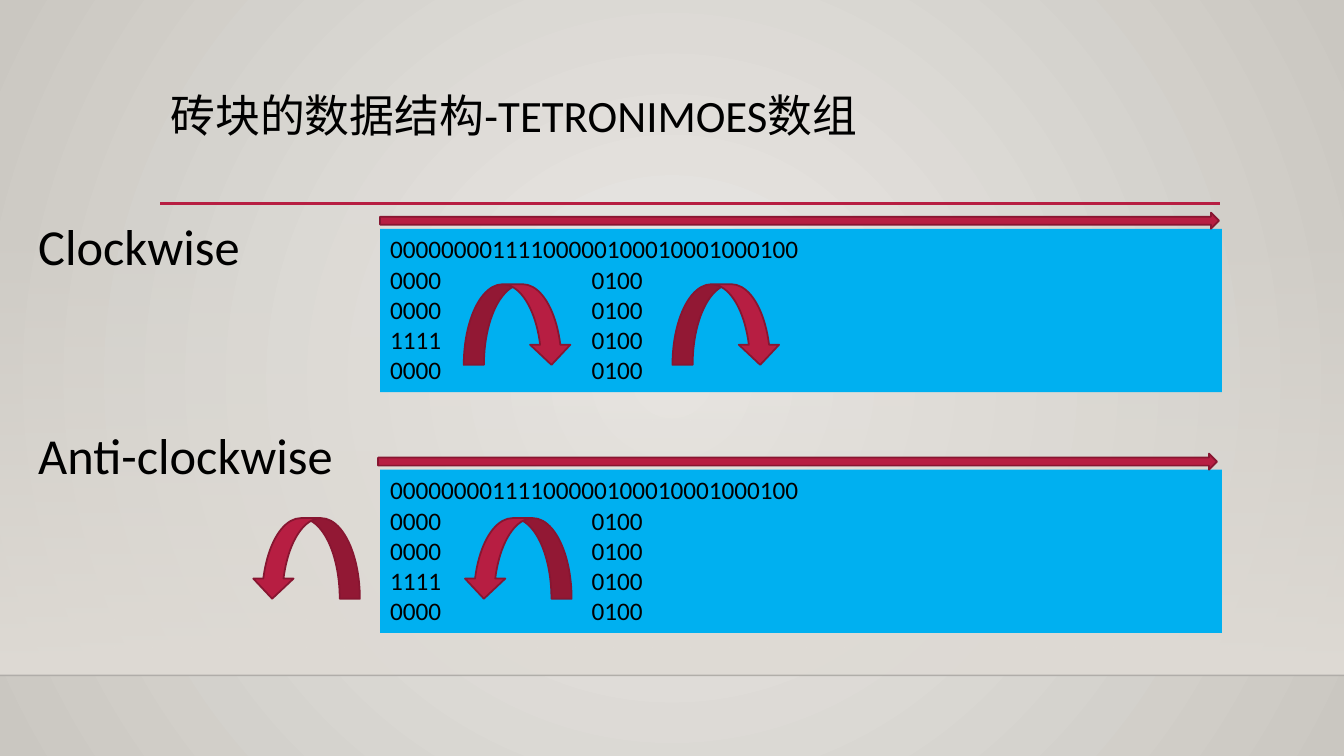
from lxml import etree
from pptx import Presentation
from pptx.dml.color import RGBColor
from pptx.enum.shapes import MSO_CONNECTOR, MSO_SHAPE
from pptx.enum.text import MSO_ANCHOR, MSO_AUTO_SIZE, PP_ALIGN
from pptx.oxml import parse_xml
from pptx.oxml.ns import nsdecls, qn
from pptx.util import Inches, Pt

BLACK = RGBColor(0x00, 0x00, 0x00)
RULE_BLACK = RGBColor(0x00, 0x00, 0x01)
CRIMSON = RGBColor(0xB7, 0x1E, 0x42)
DARK_CRIMSON = RGBColor(0x87, 0x16, 0x31)
SKY_BLUE = RGBColor(0x00, 0xB0, 0xF0)
CENTRE_GREY = RGBColor(0xEC, 0xEA, 0xE7)
EDGE_GREY = RGBColor(0xCA, 0xC7, 0xC1)
FLOOR_GREY = RGBColor(0xDF, 0xDB, 0xD5)

WIDTH, HEIGHT = 13.33, 7.5
FLOOR_TOP = 6.7
BOX_LEFT, BOX_WIDTH, BOX_HEIGHT = 3.77, 8.35, 1.62
BAR_WIDTH, BAR_HEIGHT = 8.32, 0.16
TURN_WIDTH, TURN_HEIGHT = 1.07, 0.8
BIT_ROWS = ["00000000111100000100010001000100"] + [
    f"{row}\t\t\t0100" for row in ("0000", "0000", "1111", "0000")]


def add_filled(kind, left, top, width, height, fill, outline=None):
    shape = slide.shapes.add_shape(
        kind, Inches(left), Inches(top), Inches(width), Inches(height))
    shape.shadow.inherit = False
    shape.fill.solid()
    shape.fill.fore_color.rgb = fill
    if outline is None:
        shape.line.fill.background()
    else:
        shape.line.color.rgb = outline
        shape.line.width = Pt(1.25)
    return shape


def add_text(paragraph, text, size):
    run = paragraph.add_run()
    run.text = text
    run.font.name = "Calibri"
    run.font.size = Pt(size)
    run.font.color.rgb = BLACK


presentation = Presentation()
presentation.slide_width = Inches(WIDTH)
presentation.slide_height = Inches(HEIGHT)
slide = presentation.slides.add_slide(presentation.slide_layouts[5])

# Radial background
slide.background.fill.solid()
slide.background.fill.fore_color.rgb = EDGE_GREY
solid = next(slide.element.iter(qn("a:solidFill")))
solid.getparent().replace(solid, parse_xml(
    f'<a:gradFill {nsdecls("a")} rotWithShape="1"><a:gsLst>'
    f'<a:gs pos="0"><a:srgbClr val="{CENTRE_GREY}"/></a:gs>'
    f'<a:gs pos="100000"><a:srgbClr val="{EDGE_GREY}"/></a:gs></a:gsLst>'
    '<a:path path="circle"><a:fillToRect l="50000" t="50000" r="50000" b="50000"/>'
    '</a:path></a:gradFill>'))

# Wall that fades in towards the floor
wall = add_filled(MSO_SHAPE.RECTANGLE, 0, 2.21, WIDTH, FLOOR_TOP - 2.21, FLOOR_GREY)
solid = wall.element.spPr.find(qn("a:solidFill"))
solid.getparent().replace(solid, parse_xml(
    f'<a:gradFill {nsdecls("a")}><a:gsLst>'
    f'<a:gs pos="0"><a:srgbClr val="{FLOOR_GREY}"><a:alpha val="0"/></a:srgbClr></a:gs>'
    f'<a:gs pos="100000"><a:srgbClr val="{FLOOR_GREY}"/></a:gs></a:gsLst>'
    '<a:lin ang="5400000" scaled="0"/></a:gradFill>'))

# Floor line and title rule
for left, right, top, color, weight, opacity in (
        (0, WIDTH, FLOOR_TOP, RULE_BLACK, 1, 20),
        (1.59, 12.1, 2.02, CRIMSON, 2.5, 100)):
    rule = slide.shapes.add_connector(
        MSO_CONNECTOR.STRAIGHT, Inches(left), Inches(top), Inches(right), Inches(top))
    rule.line.color.rgb = color
    rule.line.width = Pt(weight)
    etree.SubElement(rule.element.spPr, qn("a:effectLst"))
    if opacity < 100:
        rgb = next(rule.element.spPr.iter(qn("a:srgbClr")))
        etree.SubElement(rgb, qn("a:alpha")).set("val", str(opacity * 1000))

# Title
title = slide.shapes.title
title.left, title.top = Inches(1.59), Inches(0.88)
title.width, title.height = Inches(10.5), Inches(1.15)
title.text_frame.word_wrap = True
title.text_frame.auto_size = MSO_AUTO_SIZE.NONE
title.text_frame.vertical_anchor = MSO_ANCHOR.TOP
paragraph = title.text_frame.paragraphs[0]
paragraph.alignment = PP_ALIGN.LEFT
paragraph.line_spacing = 0.9
add_text(paragraph, "砖块的数据结构-TETRONIMOES数组", 32)

# One section per direction: label, reading arrow, bit box, turning arrows
for name, label_top, label_width, box_top, bar_left, turn_top, turn_lefts, flipped in (
        ("Clockwise", 2.08, 2.32, 2.27, 3.77, 2.82, (4.6, 6.67), False),
        ("Anti-clockwise", 4.16, 3.22, 4.66, 3.75, 5.14, (2.5, 4.6), True)):
    label = slide.shapes.add_textbox(
        Inches(0.28), Inches(label_top), Inches(label_width), Inches(0.71))
    label.text_frame.word_wrap = False
    label.text_frame.auto_size = MSO_AUTO_SIZE.SHAPE_TO_FIT_TEXT
    add_text(label.text_frame.paragraphs[0], name, 36)

    box = add_filled(
        MSO_SHAPE.RECTANGLE, BOX_LEFT, box_top, BOX_WIDTH, BOX_HEIGHT, SKY_BLUE)
    frame = box.text_frame
    frame.word_wrap = True
    frame.auto_size = MSO_AUTO_SIZE.SHAPE_TO_FIT_TEXT
    frame.vertical_anchor = MSO_ANCHOR.TOP
    for index, bits in enumerate(BIT_ROWS):
        paragraph = frame.add_paragraph() if index else frame.paragraphs[0]
        paragraph.alignment = PP_ALIGN.LEFT
        if "\t" in bits:
            properties = paragraph._p.get_or_add_pPr()
            tabs = etree.SubElement(properties, qn("a:tabLst"))
            for stop in (1, 1.5, 2):
                tab = etree.SubElement(tabs, qn("a:tab"))
                tab.set("pos", str(Inches(stop)))
                tab.set("algn", "l")
        add_text(paragraph, bits, 18)

    add_filled(MSO_SHAPE.RIGHT_ARROW, bar_left, box_top - BAR_HEIGHT,
               BAR_WIDTH, BAR_HEIGHT, CRIMSON, DARK_CRIMSON)
    for turn_left in turn_lefts:
        turn = add_filled(MSO_SHAPE.CURVED_DOWN_ARROW, turn_left, turn_top,
                          TURN_WIDTH, TURN_HEIGHT, CRIMSON, DARK_CRIMSON)
        if flipped:
            turn.element.spPr.find(qn("a:xfrm")).set("flipH", "1")

presentation.save("out.pptx")
